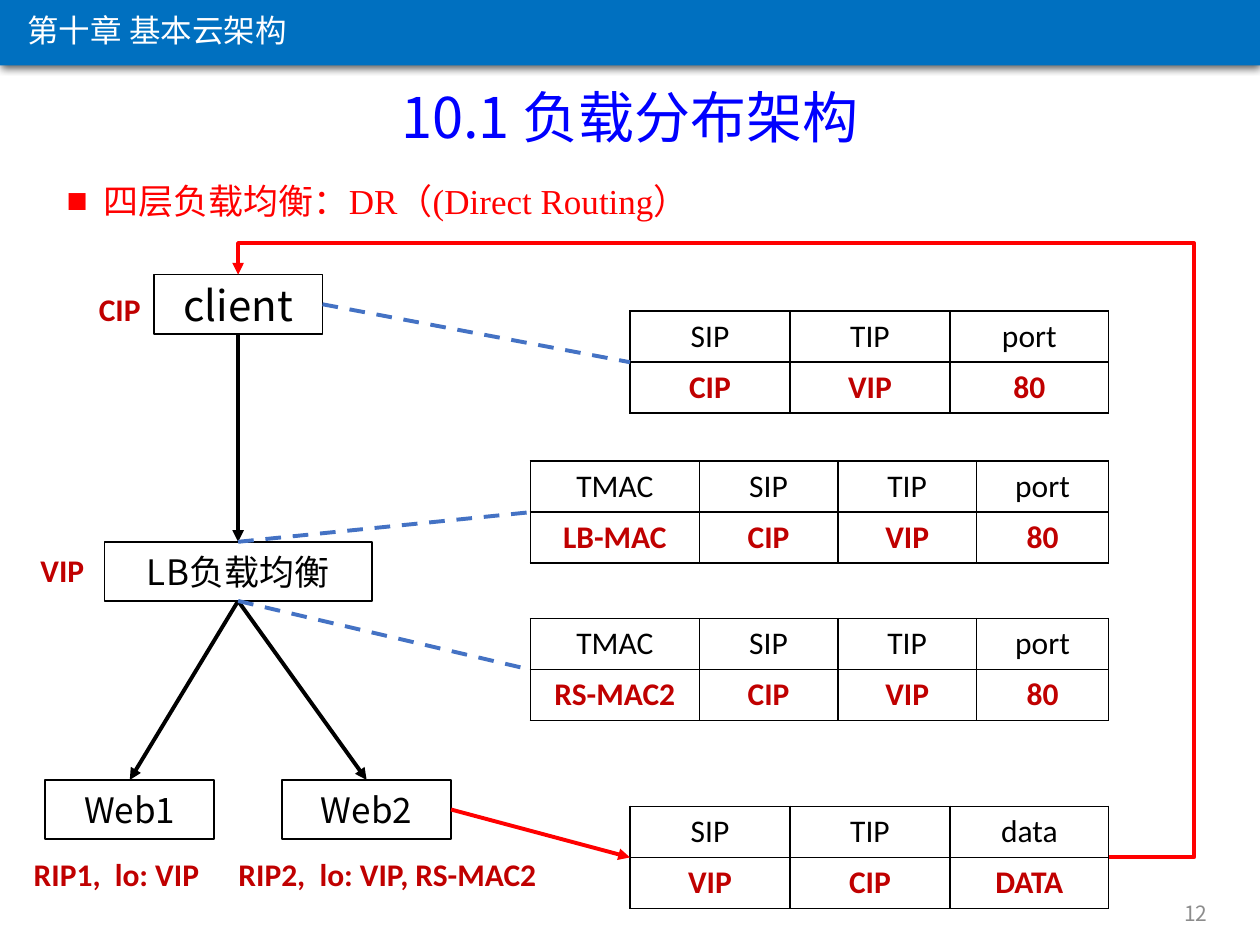
from dataclasses import dataclass

from lxml.etree import SubElement
from pptx import Presentation
from pptx.dml.color import RGBColor
from pptx.enum.dml import MSO_LINE
from pptx.enum.shapes import MSO_CONNECTOR, MSO_SHAPE
from pptx.enum.text import MSO_ANCHOR, PP_ALIGN
from pptx.oxml import parse_xml
from pptx.oxml.ns import nsdecls, qn
from pptx.util import Inches, Pt


@dataclass(frozen=True)
class Theme:
    bar: str = "0070C0"
    title: str = "0000FF"
    red: str = "FF0000"
    value: str = "C00000"
    link: str = "4472C4"
    page: str = "8C8C8C"
    black: str = "000000"
    white: str = "FFFFFF"
    cjk: str = "Noto Sans CJK SC"
    sans: str = "Calibri"
    serif: str = "Times New Roman"
    title_size: int = 32
    client_size: int = 24
    body_size: int = 20
    label_size: int = 18
    page_size: int = 12


T = Theme()
TOP, LEFT, BOTTOM, RIGHT = range(4)


def write(tf, text, size, color, font=T.cjk, bold=False, align=PP_ALIGN.LEFT):
    p = tf.paragraphs[0]
    p.alignment = align
    r = p.add_run()
    r.text = text
    for name, value in {"size": Pt(size), "name": font, "bold": bold}.items():
        setattr(r.font, name, value)
    r.font.color.rgb = RGBColor.from_string(color)
    SubElement(r.font._element, qn("a:ea")).set("typeface", T.cjk)
    return p


def add_text(s, box, text, size, color, wrap=True, anchor=MSO_ANCHOR.TOP, **style):
    tf = s.shapes.add_textbox(*map(Inches, box)).text_frame
    tf.word_wrap = wrap
    tf.vertical_anchor = anchor
    return write(tf, text, size, color, **style)


def add_rect(s, box, fill):
    sp = s.shapes.add_shape(MSO_SHAPE.RECTANGLE, *map(Inches, box))
    sp.shadow.inherit = False
    sp.fill.solid()
    sp.fill.fore_color.rgb = RGBColor.from_string(fill)
    sp.line.fill.background()
    return sp


def add_header(s, box):
    """Blue bar with a soft shadow and the chapter name."""
    x, y, _, _ = box
    bar = add_rect(s, box, T.bar)
    bar._element.spPr.find(qn("a:effectLst")).append(parse_xml(
        f'<a:outerShdw {nsdecls("a")} blurRad="{Pt(4.5)}" dist="{Pt(1.5)}" '
        f'dir="5400000" rotWithShape="0"><a:srgbClr val="{T.black}">'
        '<a:alpha val="63000"/></a:srgbClr></a:outerShdw>'))
    add_text(s, (x + 0.12, y + 0.06, 2.3, 0.4), "第十章 基本云架构",
             T.label_size, T.white, wrap=False)


def add_topic(s, box, text):
    p = add_text(s, box, text, T.body_size, T.red, font=T.serif)
    p.line_spacing = 1.2
    p.space_before = Pt(4)
    pPr = p._p.get_or_add_pPr()
    pPr.set("marL", str(Inches(0.23)))
    pPr.set("indent", str(-Inches(0.23)))
    SubElement(pPr, qn("a:buFont")).set("typeface", T.serif)
    SubElement(pPr, qn("a:buChar")).set("char", "■")


def add_node(s, box, text, size=T.body_size):
    sp = add_rect(s, box, T.white)
    sp.line.color.rgb = RGBColor.from_string(T.black)
    sp.line.width = Pt(1)
    sp.text_frame.vertical_anchor = MSO_ANCHOR.MIDDLE
    write(sp.text_frame, text, size, T.black, align=PP_ALIGN.CENTER)
    return sp


def add_label(s, box, text):
    add_text(s, box, text, T.label_size, T.value, wrap=False,
             font=T.sans, bold=True, align=PP_ALIGN.CENTER)


def style_cell(cell, text, is_value):
    cell.fill.background()
    write(cell.text_frame, text, T.label_size, T.value if is_value else T.black,
          font=T.sans, bold=is_value, align=PP_ALIGN.CENTER)
    tcPr = cell._tc.get_or_add_tcPr()
    for i, side in enumerate(("lnL", "lnR", "lnT", "lnB")):
        tcPr.insert(i, parse_xml(
            f'<a:{side} {nsdecls("a")} w="{Pt(1)}"><a:solidFill>'
            f'<a:srgbClr val="{T.black}"/></a:solidFill></a:{side}>'))


def add_packet(s, box, widths, fields, values):
    """Two-row table: field names above the packet's values."""
    frame = s.shapes.add_table(2, len(fields), *map(Inches, box))
    table = frame.table
    table.first_row = table.horz_banding = False
    for column, width in zip(table.columns, widths):
        column.width = Inches(width)
    for i, row in enumerate((fields, values)):
        for j, text in enumerate(row):
            style_cell(table.cell(i, j), text, is_value=i == 1)
    return frame


def connect(s, start, end, color, arrow=True, kind=MSO_CONNECTOR.STRAIGHT):
    """Join two (shape, side) pairs; a link without an arrow is dashed."""
    c = s.shapes.add_connector(kind, 0, 0, 0, 0)
    c.begin_connect(*start)
    c.end_connect(*end)
    c.line.color.rgb = RGBColor.from_string(color)
    c.line.width = Pt(2.25)
    if arrow:
        SubElement(c.line._get_or_add_ln(), qn("a:tailEnd")).set("type", "triangle")
    else:
        c.line.dash_style = MSO_LINE.DASH
    SubElement(c._element.spPr, qn("a:effectLst"))
    return c


def route_around(c, **adjustments):
    geom = c._element.spPr.find(qn("a:prstGeom"))
    geom.set("prst", "bentConnector4")
    guides = geom.find(qn("a:avLst"))
    if guides is None:
        guides = SubElement(geom, qn("a:avLst"))
    for name, value in adjustments.items():
        gd = SubElement(guides, qn("a:gd"))
        gd.set("name", name)
        gd.set("fmla", f"val {value}")


def add_servers(s, box):
    """Client, balancer and web servers with their address labels."""
    x, y, _, _ = box
    client = add_node(s, (x + 1.06, y, 1.34, 0.47), "client", T.client_size)
    balancer = add_node(s, (x + 0.67, y + 2.12, 2.12, 0.47), "LB负载均衡")
    web1, web2 = (add_node(s, (x + 0.2 + 1.88 * i, y + 4.01, 1.34, 0.47), f"Web{i + 1}")
                  for i in range(2))
    for dx, dy, w, h, text in ((0.52, 0.07, 0.54, 0.71, "CIP"),
                               (0.06, 2.14, 0.55, 0.71, "VIP"),
                               (0, 4.56, 1.53, 0.4, "RIP1,  lo: VIP"),
                               (1.62, 4.56, 2.59, 0.4, "RIP2,  lo: VIP, RS-MAC2")):
        add_label(s, (x + dx, y + dy, w, h), text)
    connect(s, (client, BOTTOM), (balancer, TOP), T.black)
    for web in (web1, web2):
        connect(s, (balancer, BOTTOM), (web, TOP), T.black)
    return client, balancer, web2


def add_packets(s, box):
    """Packet tables, aligned to the right edge of the box."""
    x, y, w, _ = box
    short, wide = (1.27, 1.27, 1.26), (1.34, 1.1, 1.1, 1.05)
    ip = ("SIP", "TIP", "port")
    rows = ((0, short, ip, ("CIP", "VIP", "80")),
            (1.19, wide, ("TMAC", *ip), ("LB-MAC", "CIP", "VIP", "80")),
            (2.44, wide, ("TMAC", *ip), ("RS-MAC2", "CIP", "VIP", "80")),
            (3.93, short, ("SIP", "TIP", "data"), ("VIP", "CIP", "DATA")))
    return [add_packet(s, (x + w - sum(cols), y + dy, sum(cols), 0.81), cols, fields, values)
            for dy, cols, fields, values in rows]


def build_slide(prs):
    s = prs.slides.add_slide(prs.slide_layouts[6])
    add_text(s, (0, 0.61, 10, 0.64), "10.1 负载分布架构", T.title_size, T.title,
             align=PP_ALIGN.CENTER)
    add_header(s, (0, -0.02, 10, 0.54))
    add_text(s, (7.43, 7.05, 2.25, 0.4), "12", T.page_size, T.page,
             anchor=MSO_ANCHOR.MIDDLE, align=PP_ALIGN.RIGHT)
    add_topic(s, (0.43, 1.31, 9.25, 0.48), " 四层负载均衡：DR（(Direct Routing）")
    client, balancer, web2 = add_servers(s, (0.16, 2.18, 4.21, 4.96))
    request, to_balancer, to_server, reply = add_packets(s, (4.21, 2.47, 4.59, 4.74))
    connect(s, (web2, RIGHT), (reply, LEFT), T.red)
    back = connect(s, (reply, RIGHT), (client, TOP), T.red, kind=MSO_CONNECTOR.ELBOW)
    route_around(back, adj1=-9800, adj2=105400)
    for start, packet in (((client, RIGHT), request),
                          ((balancer, TOP), to_balancer),
                          ((balancer, BOTTOM), to_server)):
        connect(s, start, (packet, LEFT), T.link, arrow=False)


def main():
    prs = Presentation()
    prs.slide_width, prs.slide_height = Inches(10), Inches(7.5)
    build_slide(prs)
    prs.save("out.pptx")


if __name__ == "__main__":
    main()
